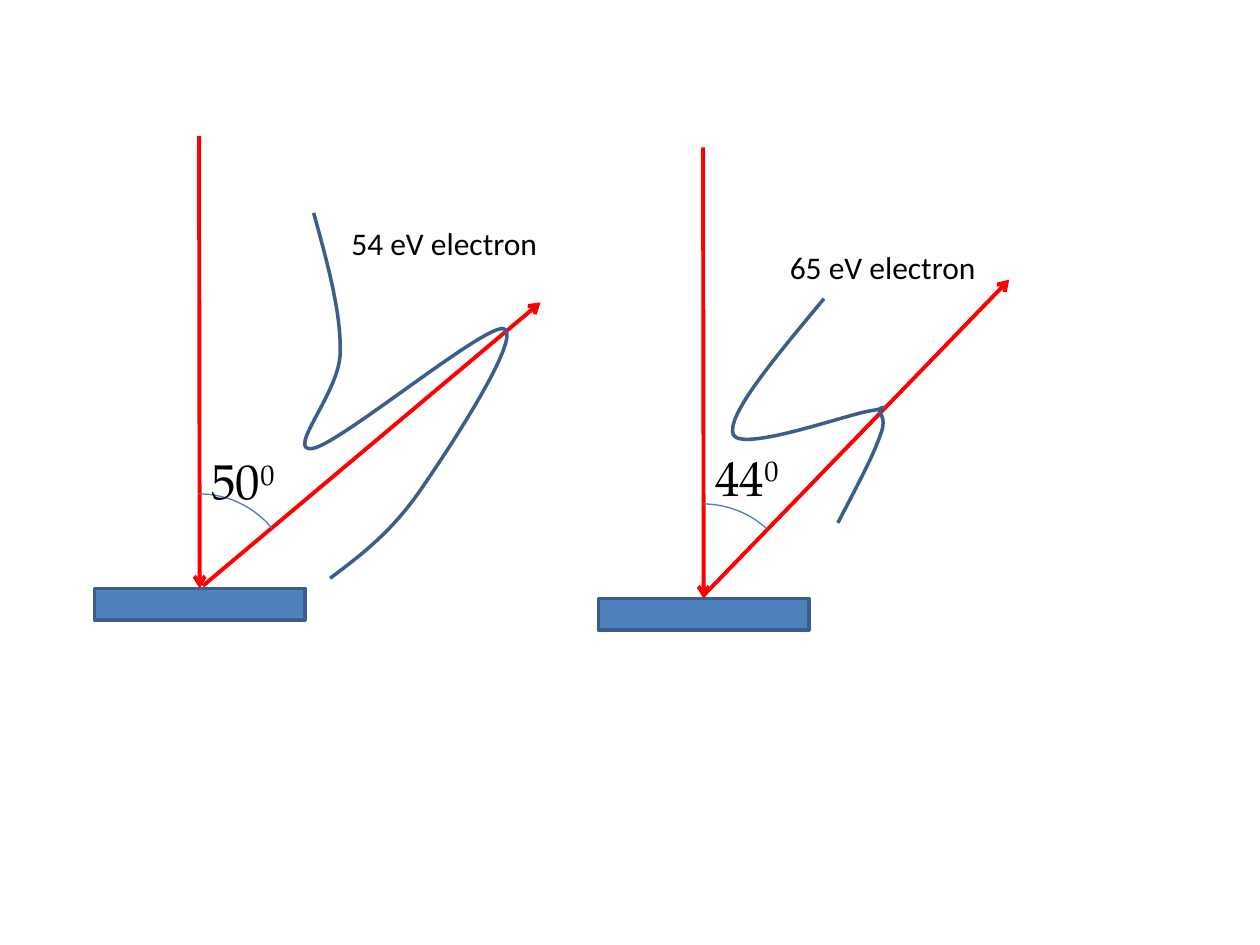
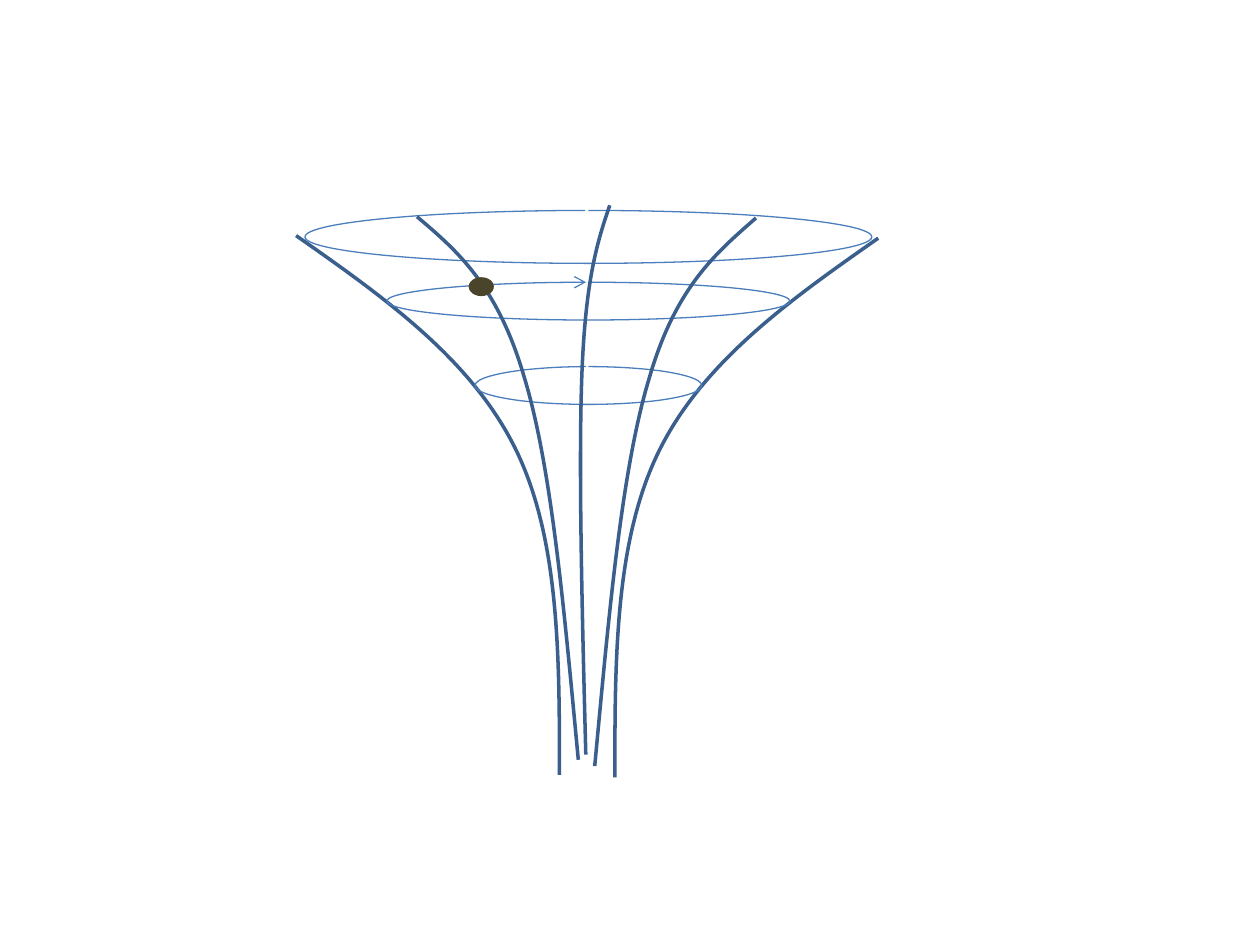
import dataclasses
import typing

import lxml.etree
import pptx
import pptx.dml.color
import pptx.enum.shapes
import pptx.enum.text
import pptx.oxml.ns
import pptx.util

PX = 9144
COLORS = {
    "block": "4F81BD",
    "curve": "3A5F8C",
    "arc": "4B7EBC",
    "beam": "FF0000",
    "ball": "4A452A",
    "text": "000000",
}
LABEL_FONT = "Calibri"
ANGLE_FONT = "TeX Gyre Pagella"
ARC_START = 162
BEZIER_STEPS = 40
RING_AXIS = 467
MIRROR_SUM = 932
MIRROR_DROP = 2

Point = tuple[int, int]
Box = tuple[int, int, int, int]
Shapes = pptx.enum.shapes.MSO_SHAPE
qn = pptx.oxml.ns.qn


@dataclasses.dataclass(frozen=True)
class Experiment:
    crystal: Box
    source: Point
    scattered_start: Point
    scattered_end: Point
    lobe: list[Point]
    arc: Box
    arc_end: float
    angle: str
    angle_box: Box
    energy: str
    energy_box: Box


@dataclasses.dataclass(frozen=True)
class Ring:
    width: int
    top: int
    height: int
    arrow: bool = False


EXPERIMENTS = [
    Experiment(
        crystal=(75, 467, 167, 25),
        source=(158, 108),
        scattered_start=(161, 465),
        scattered_end=(429, 240),
        lobe=[(249, 169), (260, 209), (271, 249), (270, 280),
              (270, 311), (226, 359), (248, 356),
              (269, 353), (386, 256), (400, 261),
              (415, 267), (356, 357), (333, 390),
              (310, 423), (286, 441), (262, 459)],
        arc=(83, 392, 150, 150),
        arc_end=192.16,
        angle="50",
        angle_box=(158, 353, 73, 57),
        energy="54 eV electron",
        energy_box=(269, 173, 170, 40),
    ),
    Experiment(
        crystal=(475, 475, 167, 25),
        source=(558, 117),
        scattered_start=(558, 473),
        scattered_end=(801, 222),
        lobe=[(654, 237), (615, 284), (576, 330), (582, 345),
              (589, 359), (672, 329), (691, 326),
              (710, 323), (697, 322), (698, 326),
              (699, 330), (704, 333), (698, 347),
              (693, 362), (679, 388), (665, 415)],
        arc=(483, 400, 150, 150),
        arc_end=187.03,
        angle="44",
        angle_box=(558, 350, 73, 57),
        energy="65 eV electron",
        energy_box=(617, 192, 170, 40),
    ),
]

OUTER_WALL = [(235, 187), (305, 236), (374, 285), (409, 356),
              (444, 427), (444, 521), (444, 615)]
INNER_WALLS = [
    [(331, 172), (363, 199), (395, 227), (416, 299),
     (438, 371), (448, 487), (459, 603)],
    [(600, 173), (568, 201), (536, 228), (515, 301),
     (493, 374), (483, 491), (472, 608)],
    [(484, 163), (474, 192), (465, 222), (462, 294),
     (459, 367), (462, 483), (465, 599)],
]
RINGS = [Ring(320, 224, 30, arrow=True), Ring(450, 167, 42), Ring(180, 291, 30)]
BALL = (372, 220, 20, 15)


def px(*values: int) -> list[int]:
    return [value * PX for value in values]


def rgb(name: str) -> pptx.dml.color.RGBColor:
    return pptx.dml.color.RGBColor.from_string(COLORS[name])


def set_line(sp: typing.Any, color: str, width: float, arrow: bool = False) -> None:
    sp.line.color.rgb = rgb(color)
    sp.line.width = pptx.util.Pt(width)
    if arrow:
        ln = sp.line._get_or_add_ln()
        lxml.etree.SubElement(ln, qn("a:tailEnd"), type="arrow")


def add_preset(slide: typing.Any, kind: typing.Any, box: Box,
               fill: str | None = None) -> typing.Any:
    sp = slide.shapes.add_shape(kind, *px(*box))
    sp.shadow.inherit = False
    if fill:
        sp.fill.solid()
        sp.fill.fore_color.rgb = rgb(fill)
    else:
        sp.fill.background()
    return sp


def add_arc(slide: typing.Any, box: Box, end: float, arrow: bool = False) -> None:
    sp = add_preset(slide, Shapes.ARC, box)
    sp.adjustments[0] = ARC_START
    sp.adjustments[1] = end
    set_line(sp, "arc", 0.75, arrow)


def add_beam(slide: typing.Any, start: Point, end: Point) -> typing.Any:
    line = slide.shapes.add_connector(
        pptx.enum.shapes.MSO_CONNECTOR.STRAIGHT, *px(*start, *end))
    set_line(line, "beam", 2.25, arrow=True)
    lxml.etree.SubElement(line._element.spPr, qn("a:effectLst"))
    return line


def bezier_samples(points: list[Point]) -> list[tuple[int, int]]:
    samples = []
    for i in range(0, len(points) - 1, 3):
        for step in range(1, BEZIER_STEPS + 1):
            t = step / BEZIER_STEPS
            weights = ((1 - t) ** 3, 3 * t * (1 - t) ** 2, 3 * t * t * (1 - t), t ** 3)
            x, y = (sum(w * p[axis] for w, p in zip(weights, points[i:i + 4]))
                    for axis in (0, 1))
            samples.append((round(x * PX), round(y * PX)))
    return samples


def add_curve(slide: typing.Any, points: list[Point]) -> None:
    builder = slide.shapes.build_freeform(*px(*points[0]))
    builder.add_line_segments(bezier_samples(points), close=False)
    sp = builder.convert_to_shape()
    path = sp._element.find(".//" + qn("a:path"))
    for child in list(path):
        path.remove(child)
    for i, (x, y) in enumerate(points):
        if i == 0:
            command = lxml.etree.SubElement(path, qn("a:moveTo"))
        elif i % 3 == 1:
            command = lxml.etree.SubElement(path, qn("a:cubicBezTo"))
        lxml.etree.SubElement(command, qn("a:pt"),
                              x=str(x * PX - sp.left), y=str(y * PX - sp.top))
    sp.shadow.inherit = False
    sp.fill.background()
    set_line(sp, "curve", 2)


def add_label(slide: typing.Any, box: Box, text: str, font: str, size: int,
              superscript: str = "") -> None:
    tf = slide.shapes.add_textbox(*px(*box)).text_frame
    tf.word_wrap = False
    tf.auto_size = pptx.enum.text.MSO_AUTO_SIZE.SHAPE_TO_FIT_TEXT
    p = tf.paragraphs[0]
    for content in filter(None, (text, superscript)):
        r = p.add_run()
        r.text = content
        r.font.name = font
        r.font.size = pptx.util.Pt(size)
        r.font.color.rgb = rgb("text")
    if superscript:
        r.font._element.set("baseline", "30000")


def draw_experiment(slide: typing.Any, exp: Experiment) -> None:
    crystal = add_preset(slide, Shapes.RECTANGLE, exp.crystal, "block")
    set_line(crystal, "curve", 2)
    incident = add_beam(slide, exp.source, (exp.source[0], exp.crystal[1]))
    incident.end_connect(crystal, 0)
    add_beam(slide, exp.scattered_start, exp.scattered_end)
    add_curve(slide, exp.lobe)
    add_arc(slide, exp.arc, exp.arc_end)
    add_label(slide, exp.angle_box, exp.angle, ANGLE_FONT, 28, superscript="0")
    add_label(slide, exp.energy_box, exp.energy, LABEL_FONT, 18)


def draw_funnel(slide: typing.Any) -> None:
    mirrored = [(MIRROR_SUM - x, y + MIRROR_DROP) for x, y in OUTER_WALL]
    for wall in (OUTER_WALL, mirrored):
        add_curve(slide, wall)
    for ring in RINGS:
        box = (RING_AXIS - ring.width // 2, ring.top, ring.width, ring.height)
        add_arc(slide, box, 157.79, ring.arrow)
    for wall in INNER_WALLS:
        add_curve(slide, wall)
    ball = add_preset(slide, Shapes.OVAL, BALL, "ball")
    ball.line.fill.background()


def main() -> None:
    prs = pptx.Presentation()
    prs.slide_width, prs.slide_height = px(1000, 750)
    blank = prs.slide_layouts[6]
    scattering = prs.slides.add_slide(blank)
    for exp in EXPERIMENTS:
        draw_experiment(scattering, exp)
    draw_funnel(prs.slides.add_slide(blank))
    prs.save("out.pptx")


if __name__ == "__main__":
    main()
